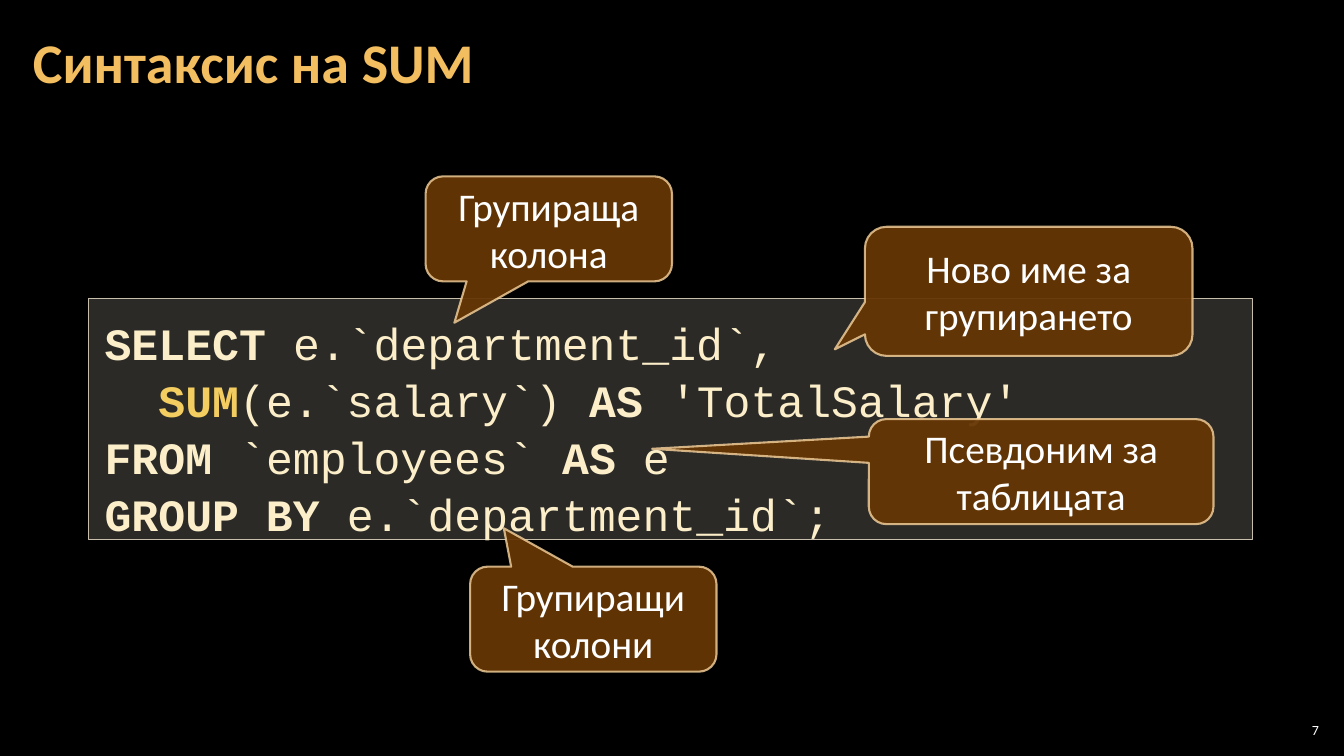
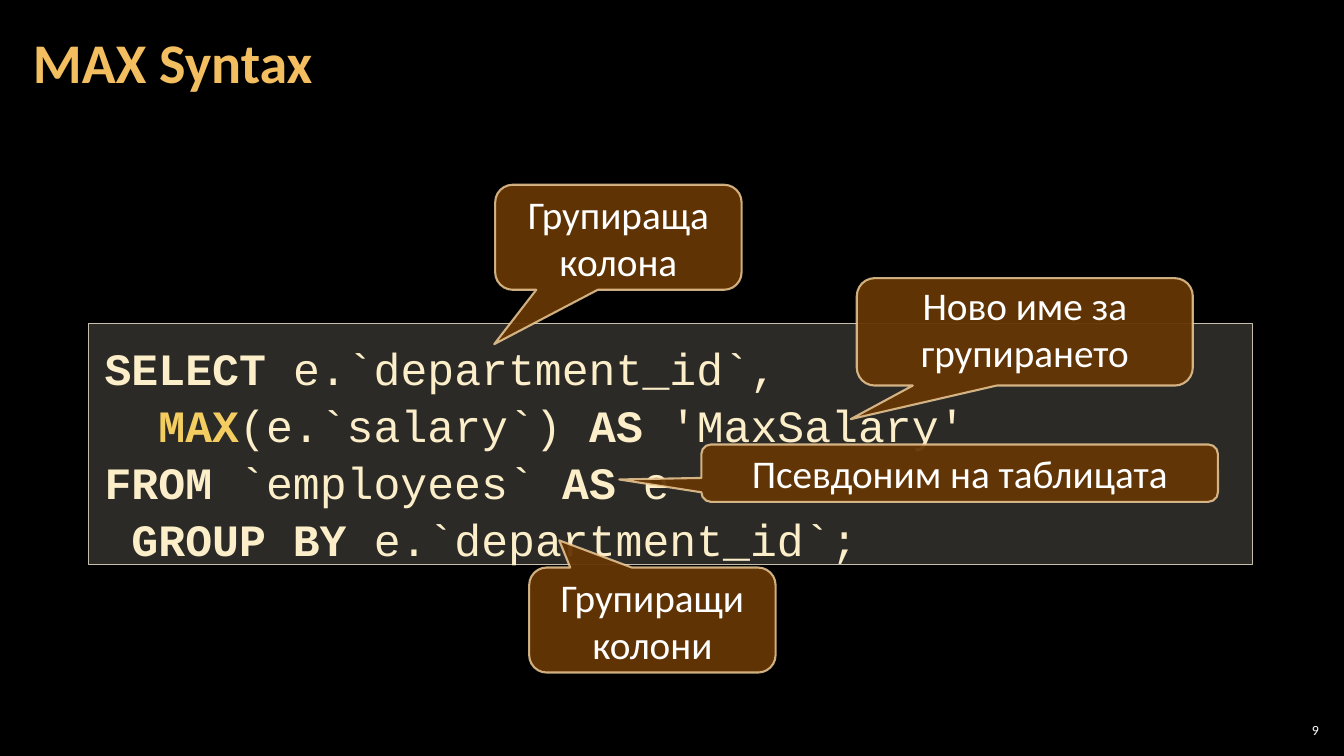
from dataclasses import dataclass

from lxml import etree
from pptx import Presentation
from pptx.dml import color as dml
from pptx.enum import shapes, text
from pptx.oxml import ns
from pptx.util import Pt

BLACK, WHITE = "000000", "FFFFFF"
GOLD, CREAM, YELLOW = "F3BE60", "FBEEC9", "F3CD60"
PANEL, PANEL_EDGE = "D9D5C7", "C7BFAC"
BROWN, BROWN_EDGE = "663606", "F8D49E"
BODY_FONT, CODE_FONT = "Calibri", "Courier New"
FUNCTIONS = {"SUM", "MAX"}
MIDDLE = text.MSO_ANCHOR.MIDDLE
LEFT, CENTER, RIGHT = text.PP_ALIGN.LEFT, text.PP_ALIGN.CENTER, text.PP_ALIGN.RIGHT


@dataclass(frozen=True)
class Box:
    """A rectangle in points."""

    left: float
    top: float
    width: float
    height: float

    def lengths(self) -> list[Pt]:
        """Return the four lengths in the order python-pptx expects."""
        return [Pt(n) for n in (self.left, self.top, self.width, self.height)]


@dataclass(frozen=True)
class Callout:
    """A speech bubble and the relative position of its tip."""

    words: str
    box: Box
    tip: tuple[float, float]
    anchor: text.MSO_ANCHOR = MIDDLE


@dataclass(frozen=True)
class SyntaxSlide:
    """A query whose lines alternate keyword and plain parts around bars."""

    title: str
    number: int
    code_top: float
    code: tuple[str, ...]
    callouts: tuple[Callout, ...]


SLIDES = (
    SyntaxSlide(
        "Синтаксис на SUM", 7, 213.1,
        ("SELECT| e.`department_id`, ",
         "|  |SUM|(e.`salary`) |AS| 'TotalSalary'",
         "FROM| `employees` |AS| e",
         "GROUP BY |e.`department_id`;"),
        (Callout("Групираща колона", Box(304, 126, 176, 75), (-0.383, 0.894)),
         Callout("Групиращи колони", Box(335.8, 404.8, 176, 75), (-0.363, -0.866)),
         Callout("Псевдоним за таблицата", Box(620.6, 299.4, 246.2, 75), (-1.129, -0.217)),
         Callout("Ново име за групирането", Box(617.8, 162, 234, 92.2), (-0.592, 0.449))),
    ),
    SyntaxSlide(
        "MAX Syntax", 9, 231.1,
        ("SELECT |e.`department_id`,",
         "|  |MAX|(e.`salary`) |AS| 'MaxSalary'",
         "FROM| `employees` |AS| e",
         " GROUP BY| e.`department_id`;"),
        (Callout("Групираща колона", Box(353.7, 132, 176, 75), (-0.504, 1.018)),
         Callout("Групиращи колони", Box(378, 405.4, 176, 75), (-0.378, -0.759)),
         Callout("Псевдоним на таблицата", Box(501, 317.5, 369, 41), (-0.659, 0.11)),
         Callout("Ново име за групирането", Box(612, 198.7, 240, 76.7), (-0.518, 0.813),
                 text.MSO_ANCHOR.BOTTOM)),
    ),
)


def rgb(value: str) -> dml.RGBColor:
    """Convert a hex string to a colour."""
    return dml.RGBColor.from_string(value)


def paint(fill, color: str, opacity: int = 100) -> None:
    """Apply a solid colour with an opacity in percent."""
    fill.solid()
    fill.fore_color.rgb = rgb(color)
    if opacity < 100:
        node = fill._xPr.find(ns.qn("a:solidFill"))[0]
        etree.SubElement(node, ns.qn("a:alpha"), val=str(opacity * 1000))


def add_run(paragraph, words: str, *, size: float, color: str,
            font: str = BODY_FONT, bold: bool = False) -> None:
    """Append formatted text to a paragraph."""
    run = paragraph.add_run()
    run.text = words
    run.font.name, run.font.size, run.font.bold = font, Pt(size), bold
    run.font.color.rgb = rgb(color)


def set_frame(frame, *, anchor=MIDDLE, align=LEFT, side: float = 7.2, edge: float = 3.6):
    """Prepare a text frame and return its first paragraph."""
    frame.word_wrap, frame.auto_size = True, text.MSO_AUTO_SIZE.NONE
    frame.vertical_anchor = anchor
    frame.margin_left = frame.margin_right = Pt(side)
    frame.margin_top = frame.margin_bottom = Pt(edge)
    first = frame.paragraphs[0]
    first.alignment = align
    return first


def add_panel(slide, preset, box: Box, fill: tuple[str, int],
              edge: tuple[str, int], weight: float):
    """Add a translucent outlined shape."""
    panel = slide.shapes.add_shape(preset, *box.lengths())
    panel.shadow.inherit = False
    paint(panel.fill, *fill)
    paint(panel.line.fill, *edge)
    panel.line.width = Pt(weight)
    return panel


def add_title(slide, words: str) -> None:
    """Place and format the title placeholder."""
    title = slide.shapes.title
    title.left, title.top, title.width, title.height = Box(15, 3, 930, 87).lengths()
    heading = set_frame(title.text_frame, side=8.5, edge=2.8)
    heading.line_spacing = 0.9
    add_run(heading, words, size=40, color=GOLD, bold=True)


def add_code(slide, top: float, lines: tuple[str, ...]) -> None:
    """Add the query with its keywords in bold."""
    panel = add_panel(slide, shapes.MSO_SHAPE.RECTANGLE, Box(63.2, top, 831.5, 172.3),
                      (PANEL, 20), (PANEL_EDGE, 100), 1)
    paragraph = set_frame(panel.text_frame, anchor=text.MSO_ANCHOR.TOP, side=11.5, edge=10)
    for index, line in enumerate(lines):
        if index:
            paragraph = panel.text_frame.add_paragraph()
        paragraph.alignment, paragraph.line_spacing = LEFT, 1.06
        for position, part in enumerate(line.split("|")):
            if part:
                add_run(paragraph, part, size=32, font=CODE_FONT, bold=position % 2 == 0,
                        color=YELLOW if part in FUNCTIONS else CREAM)


def add_callout(slide, callout: Callout) -> None:
    """Add a speech bubble."""
    bubble = add_panel(slide, shapes.MSO_SHAPE.ROUNDED_RECTANGULAR_CALLOUT, callout.box,
                       (BROWN, 95), (BROWN_EDGE, 80), 1.5)
    for index, value in enumerate((*callout.tip, 0.167)):
        bubble.adjustments[index] = value
    label = set_frame(bubble.text_frame, anchor=callout.anchor, align=CENTER)
    add_run(label, callout.words, size=28, color=WHITE)


def add_number(slide, number: int) -> None:
    """Add the slide number in the lower right corner."""
    corner = slide.shapes.add_textbox(*Box(911, 514, 34, 15).lengths())
    add_run(set_frame(corner.text_frame, align=RIGHT, side=2.8, edge=2.8),
            str(number), size=10, color=WHITE)


def build_slide(deck, content: SyntaxSlide) -> None:
    """Build one syntax slide."""
    slide = deck.slides.add_slide(deck.slide_layouts[5])
    add_title(slide, content.title)
    add_code(slide, content.code_top, content.code)
    for callout in content.callouts:
        add_callout(slide, callout)
    add_number(slide, content.number)


def main() -> None:
    """Build and save the presentation."""
    deck = Presentation()
    deck.slide_width, deck.slide_height = Pt(960), Pt(540)
    paint(deck.slide_master.background.fill, BLACK)
    for content in SLIDES:
        build_slide(deck, content)
    deck.save("out.pptx")


if __name__ == "__main__":
    main()
